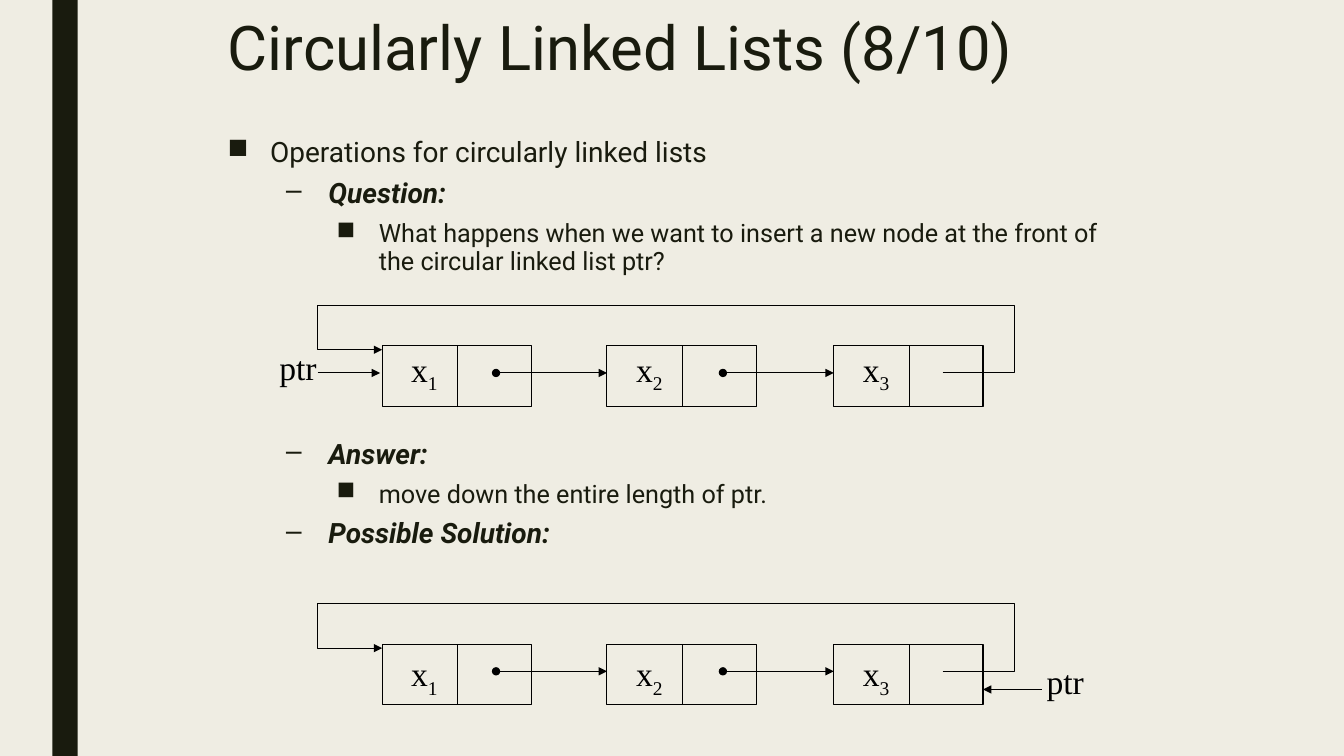
from dataclasses import dataclass

from lxml import etree
from pptx import Presentation
from pptx import util as u
from pptx.dml.color import RGBColor
from pptx.enum import shapes, text
from pptx.oxml import ns


@dataclass(frozen=True)
class Theme:
    """Colours, fonts and type sizes of the slide."""
    paper: str = "EFEDE3"
    ink: str = "191B0E"
    line: str = "000000"
    font: str = "Roboto"
    serif: str = "Times New Roman"
    title: int = 44
    body: int = 20
    detail: int = 18
    label: int = 24
    stroke: float = 0.75


T = Theme()
BULLETS = [("■", 0.42), ("–", 1.0), ("■", 1.5)]
OUTLINE = [
    (0, "Operations for circularly linked lists", 10),
    (1, "Question:", 5),
    (2, "What happens when we want to insert a new node at the front of "
        "the circular linked list ptr?", 5),
    (1, "Answer:", 114),
    (2, "move down the entire length of ptr.", 5),
    (1, "Possible Solution:", 5),
]


def rgb(value):
    """Turn a hex string into a colour."""
    return RGBColor.from_string(value)


def box(*lengths):
    """Turn inches into lengths."""
    return [u.Inches(n) for n in lengths]


def write(p, words, size, font=T.font, color=T.ink, strong=False, base=0):
    """Add a formatted run to a paragraph."""
    r = p.add_run()
    r.text = words
    f = r.font
    f.size, f.name, f.color.rgb = u.Pt(size), font, rgb(color)
    f.bold = f.italic = strong
    if base:
        r._r.get_or_add_rPr().set("baseline", str(base * 1000))


def style_line(sp, head=None, tail=None):
    """Give a shape or connector a thin line with optional ends."""
    sp.line.color.rgb = rgb(T.line)
    sp.line.width = u.Pt(T.stroke)
    ln = sp.line._get_or_add_ln()
    for tag, kind in (("a:headEnd", head), ("a:tailEnd", tail)):
        if kind:
            etree.SubElement(ln, ns.qn(tag), type=kind)


def connect(parts, x1, y1, x2, y2, head=None, tail=None):
    """Draw a straight line between two points."""
    sp = parts.add_connector(shapes.MSO_CONNECTOR.STRAIGHT, *box(x1, y1, x2, y2))
    style_line(sp, head, tail)
    etree.SubElement(sp._element.spPr, ns.qn("a:effectLst"))


def label(parts, x, y, width, words, sub=""):
    """Place a serif label with an optional subscript."""
    tf = parts.add_textbox(*box(x, y, width, 0.5)).text_frame
    tf.word_wrap = False
    tf.auto_size = text.MSO_AUTO_SIZE.SHAPE_TO_FIT_TEXT
    p = tf.paragraphs[0]
    p.alignment = text.PP_ALIGN.CENTER
    write(p, words, T.label, font=T.serif, color=T.line)
    if sub:
        write(p, sub, T.label, font=T.serif, color=T.line, base=-25)


def add_bar(s, x, y, w, h):
    """Draw the dark band on the left."""
    sp = s.shapes.add_shape(shapes.MSO_SHAPE.RECTANGLE, *box(x, y, w, h))
    sp.fill.solid()
    sp.fill.fore_color.rgb = rgb(T.ink)
    sp.line.fill.background()
    sp.shadow.inherit = False


def add_title(s, words, x, y, w, h):
    """Move and format the title placeholder."""
    sp = s.shapes.title
    sp.left, sp.top, sp.width, sp.height = box(x, y, w, h)
    tf = sp.text_frame
    tf.vertical_anchor = text.MSO_ANCHOR.TOP
    tf.auto_size = text.MSO_AUTO_SIZE.NONE
    p = tf.paragraphs[0]
    p.alignment = text.PP_ALIGN.LEFT
    p.line_spacing = 0.89
    write(p, words, T.title)


def add_outline(s, x, y, w, h):
    """Write the bulleted outline."""
    tf = s.shapes.add_textbox(*box(x, y, w, h)).text_frame
    tf.word_wrap = True
    for i, (level, words, before) in enumerate(OUTLINE):
        p = tf.add_paragraph() if i else tf.paragraphs[0]
        p.level = level
        p.line_spacing = 0.94
        p.space_before, p.space_after = u.Pt(before), u.Pt(2)
        char, margin = BULLETS[level]
        pPr = p._p.get_or_add_pPr()
        pPr.set("marL", str(u.Inches(margin)))
        pPr.set("indent", str(u.Inches(-0.42)))
        etree.SubElement(pPr, ns.qn("a:buChar"), char=char)
        write(p, words, T.detail if level == 2 else T.body, strong=level == 1)


def add_node(parts, x, y, w, h, sub, label_dy):
    """Draw a list node with its data and link fields."""
    sp = parts.add_shape(shapes.MSO_SHAPE.RECTANGLE, *box(x, y, w, h))
    sp.fill.background()
    sp.shadow.inherit = False
    style_line(sp)
    connect(parts, x + 0.75, y, x + 0.75, y + h)
    label(parts, x + 0.18, y + label_dy, 0.48, "x", sub)


def add_loop(parts, x, y):
    """Draw the link from the last node back to the first."""
    points = [(5.56, 0.27), (6.27, 0.27), (6.27, -0.4),
              (-0.64, -0.4), (-0.64, 0.04), (0, 0.04)]
    start, *rest = [tuple(box(x + dx, y + dy)) for dx, dy in points]
    builder = parts.build_freeform(*start, scale=1.0)
    builder.add_line_segments(rest, close=False)
    sp = builder.convert_to_shape()
    sp.fill.background()
    sp.shadow.inherit = False
    style_line(sp, tail="triangle")


def add_list(s, x, y, label_dy, ptr_at_front):
    """Draw a circular list of three nodes and its pointer."""
    parts = s.shapes.add_group_shape().shapes
    starts = [x, x + 2.23, x + 4.48]
    for i, left in enumerate(starts, 1):
        add_node(parts, left, y, 1.48, 0.6, str(i), label_dy)
    for target in starts[1:]:
        connect(parts, target - 1.1, y + 0.27, target, y + 0.27, "oval", "triangle")
    add_loop(parts, x, y)
    if ptr_at_front:
        label(parts, x - 1.12, y - 0.04, 0.57, "ptr")
        connect(parts, x - 0.64, y + 0.27, x - 0.02, y + 0.27, tail="triangle")
    else:
        label(parts, x + 6.49, y + 0.12, 0.57, "ptr")
        connect(parts, x + 6.54, y + 0.45, x + 5.96, y + 0.45, tail="triangle")


def main():
    """Build and save the slide."""
    prs = Presentation()
    prs.slide_width, prs.slide_height = box(13.33, 7.5)
    s = prs.slides.add_slide(prs.slide_layouts.get_by_name("Title Only"))
    s.background.fill.solid()
    s.background.fill.fore_color.rgb = rgb(T.paper)
    add_bar(s, 0.52, 0, 0.25, 7.5)
    add_title(s, "Circularly Linked Lists (8/10)", 2.16, 0.13, 9, 1.25)
    add_outline(s, 2.16, 1.31, 9, 4.92)
    add_list(s, 3.79, 3.43, -0.02, ptr_at_front=True)
    add_list(s, 3.79, 6.39, 0.04, ptr_at_front=False)
    prs.save("out.pptx")


if __name__ == "__main__":
    main()
